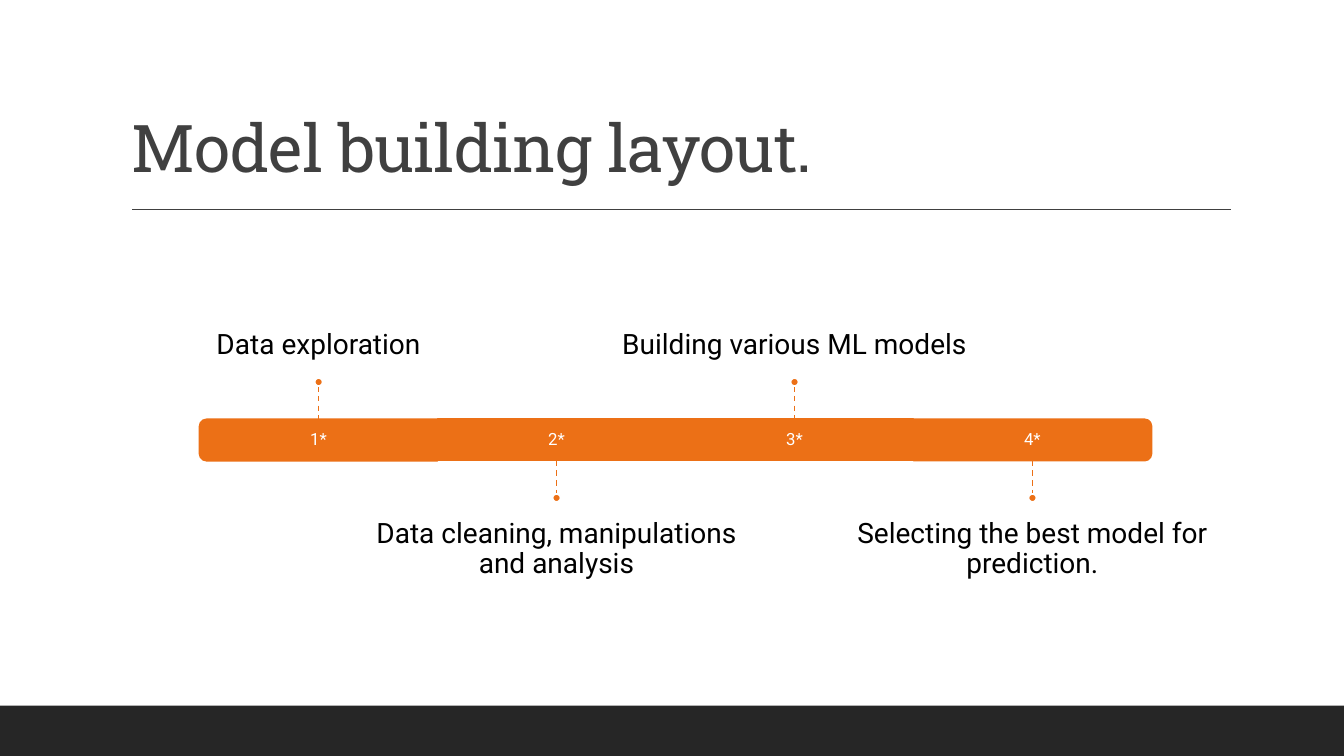
from dataclasses import dataclass

from lxml import etree
from pptx import Presentation
from pptx.dml.color import RGBColor
from pptx.enum import dml, shapes, text
from pptx.oxml import ns
from pptx.util import Inches, Pt

ORANGE = RGBColor(0xEC, 0x70, 0x16)
WHITE = RGBColor(0xFF, 0xFF, 0xFF)
BLACK = RGBColor(0, 0, 0)
DARK = RGBColor(0x26, 0x26, 0x26)
GRAY = RGBColor(0x40, 0x40, 0x40)

SHAPE = shapes.MSO_SHAPE
ANCHOR = text.MSO_ANCHOR

# Timeline measures in inches
START, STEP = 3.16, 2.36
TOP, BAR = 4.16, 0.41
STEM, DOT = 0.33, 0.08
WIDE, TALL, GAP = 3.93, 1.45, 0.17


@dataclass
class Stage:
    mark: str
    label: str
    above: bool
    kind: SHAPE = SHAPE.RECTANGLE
    turn: int = 0


STAGES = [
    Stage("1*", "Data exploration", True, SHAPE.ROUND_2_SAME_RECTANGLE, 270),
    Stage("2*", "Data cleaning, manipulations and analysis", False),
    Stage("3*", "Building various ML models", True),
    Stage("4*", "Selecting the best model for prediction.", False,
          SHAPE.ROUND_2_SAME_RECTANGLE, 90),
]


def add_block(slide, kind: SHAPE, x: float, y: float, w: float, h: float,
              fill: RGBColor, edge: RGBColor | None = None):
    block = slide.shapes.add_shape(kind, Inches(x), Inches(y), Inches(w), Inches(h))
    block.shadow.inherit = False
    block.fill.solid()
    block.fill.fore_color.rgb = fill
    if edge is None:
        block.line.fill.background()
    else:
        block.line.color.rgb = edge
        block.line.width = Pt(1.25)
    return block


def add_rule(slide, x1: float, y1: float, x2: float, y2: float, color: RGBColor):
    rule = slide.shapes.add_connector(
        shapes.MSO_CONNECTOR.STRAIGHT, Inches(x1), Inches(y1), Inches(x2), Inches(y2))
    rule.line.color.rgb = color
    rule.line.width = Pt(1)
    etree.SubElement(rule._element.spPr, ns.qn("a:effectLst"))
    return rule


def style(frame, size: float, font: str, color: RGBColor) -> None:
    para = frame.paragraphs[0]
    para.line_spacing = 0.9
    run = para.runs[0].font
    run.size, run.name = Pt(size), font
    run.color.rgb = color


def add_text(slide, words: str, x: float, y: float, w: float, h: float, size: float,
             color: RGBColor, anchor: ANCHOR, top: float = 0, base: float = 0) -> None:
    box = slide.shapes.add_textbox(Inches(x), Inches(y), Inches(w), Inches(h))
    frame = box.text_frame
    frame.word_wrap = True
    frame.vertical_anchor = anchor
    frame.margin_left = frame.margin_right = 0
    frame.margin_top, frame.margin_bottom = Inches(top), Inches(base)
    frame.text = words
    frame.paragraphs[0].alignment = text.PP_ALIGN.CENTER
    style(frame, size, "Roboto", color)


def add_title(slide, words: str) -> None:
    title = slide.shapes.title
    title.left, title.top = Inches(1.2), Inches(0.31)
    title.width, title.height = Inches(11), Inches(1.59)
    frame = title.text_frame
    frame.text = words
    frame.word_wrap = True
    frame.auto_size = text.MSO_AUTO_SIZE.NONE
    frame.vertical_anchor = ANCHOR.BOTTOM
    frame.paragraphs[0].alignment = text.PP_ALIGN.LEFT
    style(frame, 47, "Roboto Slab", GRAY)
    frame.paragraphs[0].runs[0].font._element.set("spc", "-50")


def add_stage(slide, stage: Stage, mid: float) -> None:
    # Bar segment; a turned one swaps its sides about the same centre
    w, h = (BAR, STEP) if stage.turn else (STEP, BAR)
    bar = add_block(slide, stage.kind, mid - w / 2, TOP + (BAR - h) / 2, w, h,
                    ORANGE, ORANGE)
    bar.rotation = stage.turn
    add_text(slide, stage.mark, mid - STEP / 2, TOP, STEP, BAR, 12, WHITE, ANCHOR.MIDDLE)

    # Label, stem and dot
    left = mid - WIDE / 2
    if stage.above:
        near, far = TOP, TOP - STEM
        dot = far - DOT
        add_text(slide, stage.label, left, dot - TALL, WIDE, TALL, 20, BLACK,
                 ANCHOR.BOTTOM, base=GAP)
    else:
        near = TOP + BAR
        dot = far = near + STEM
        add_text(slide, stage.label, left, dot + DOT, WIDE, TALL, 20, BLACK,
                 ANCHOR.TOP, top=GAP)
    stem = add_rule(slide, mid, min(near, far), mid, max(near, far), ORANGE)
    stem.line.dash_style = dml.MSO_LINE.DASH
    add_block(slide, SHAPE.OVAL, mid - DOT / 2, dot, DOT, DOT, ORANGE, WHITE)


def main() -> None:
    deck = Presentation()
    deck.slide_width, deck.slide_height = Inches(13.33), Inches(7.5)
    slide = deck.slides.add_slide(deck.slide_layouts[5])

    # Frame of the page
    add_block(slide, SHAPE.RECTANGLE, 0, 7, 13.33, 0.5, DARK)
    add_rule(slide, 1.31, 2.08, 12.21, 2.08, GRAY)
    add_title(slide, "Model building layout.")

    # Timeline
    for i, stage in enumerate(STAGES):
        add_stage(slide, stage, START + i * STEP)

    deck.save("out.pptx")


if __name__ == "__main__":
    main()
